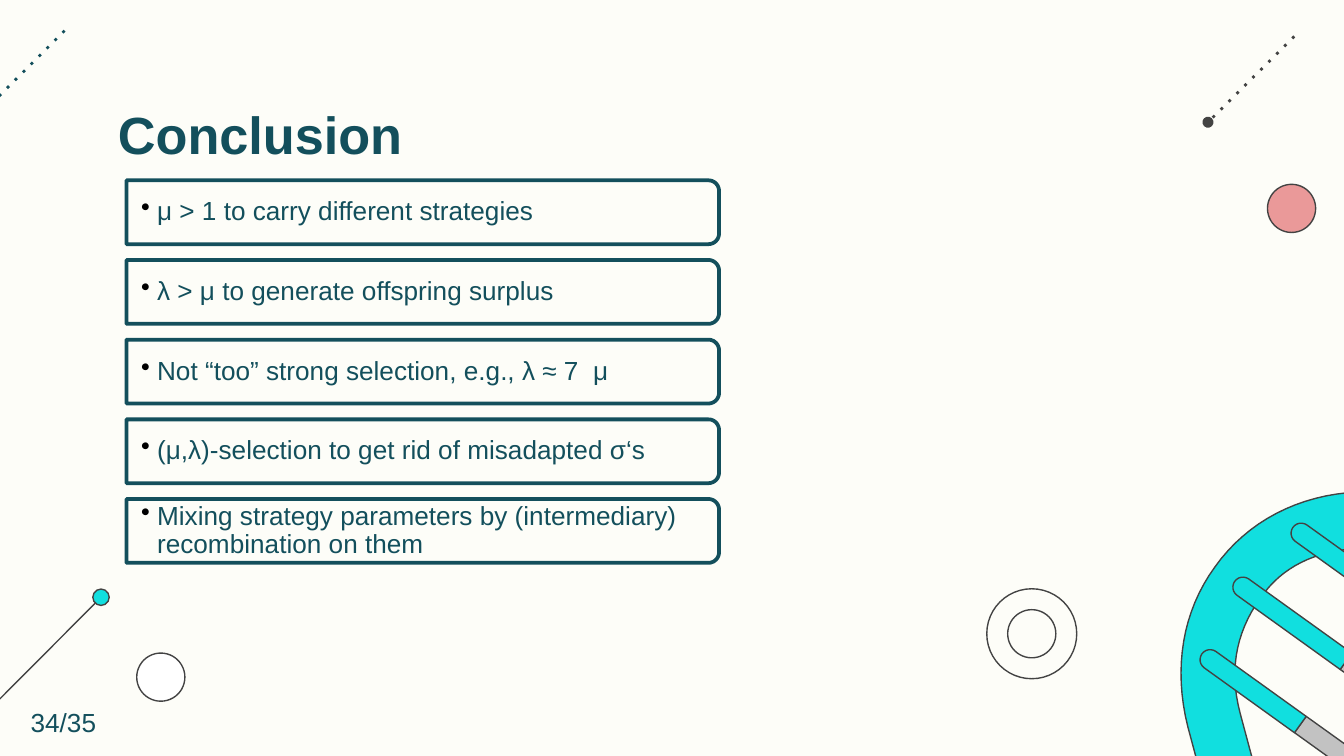
from dataclasses import dataclass
from math import cos, pi, sin, radians

from lxml.etree import SubElement
from pptx import Presentation
from pptx.dml.color import RGBColor
from pptx.enum.shapes import MSO_CONNECTOR as Link, MSO_SHAPE as Preset
from pptx.enum.text import MSO_ANCHOR as Anchor, MSO_AUTO_SIZE as AutoSize, PP_ALIGN as Align
from pptx.oxml.ns import qn
from pptx.util import Cm, Pt


@dataclass(frozen=True)
class Theme:
    paper: str = "FDFDF8"
    ink: str = "134F5C"
    outline: str = "434343"
    cyan: str = "11DFDF"
    pink: str = "EA9999"
    grey: str = "C2C2C2"
    white: str = "FFFFFF"
    black: str = "000000"
    font: str = "Arial"
    title_size: int = 28
    body_size: int = 14
    thin: float = 0.75
    dotted: float = 1.5
    thick: float = 2


THEME = Theme()
POINTS = [
    "μ > 1 to carry different strategies",
    "λ > μ to generate offspring surplus",
    "Not “too” strong selection, e.g., λ ≈ 7  μ",
    "(μ,λ)-selection to get rid of misadapted σ‘s",
    "Mixing strategy parameters by (intermediary) recombination on them",
]


def color(code):
    return RGBColor.from_string(code)


def paint(shape, fill=None, line=THEME.outline, width=THEME.thin):
    shape.shadow.inherit = False
    if fill:
        shape.fill.solid()
        shape.fill.fore_color.rgb = color(fill)
    else:
        shape.fill.background()
    shape.line.color.rgb = color(line)
    shape.line.width = Pt(width)


def style(para, size, bold=False):
    para.alignment = Align.LEFT
    para.font.name = THEME.font
    para.font.size = Pt(size)
    para.font.bold = bold
    para.font.color.rgb = color(THEME.ink)


def set_insets(frame, left, top, right, bottom):
    frame.margin_left, frame.margin_top = Cm(left), Cm(top)
    frame.margin_right, frame.margin_bottom = Cm(right), Cm(bottom)


def add_outline(page, left, top, points, **look):
    """Closed outline from points in cm, relative to (left, top)."""
    corners = [(Cm(left + x), Cm(top + y)) for x, y in points]
    builder = page.shapes.build_freeform(*corners[0])
    builder.add_line_segments(corners[1:], close=True)
    shape = builder.convert_to_shape()
    paint(shape, **look)
    return shape


def arc(x, y, radius, start, end, steps=12):
    angles = [radians(start + (end - start) * i / steps) for i in range(steps + 1)]
    return [(x + radius * cos(a), y + radius * sin(a)) for a in angles]


def curve(p0, p1, p2, p3, steps=16):
    """Points of a cubic Bézier curve."""
    return [
        tuple((1 - t) ** 3 * a + 3 * t * (1 - t) ** 2 * b + 3 * t * t * (1 - t) * c + t ** 3 * d
              for a, b, c, d in zip(p0, p1, p2, p3))
        for t in (i / steps for i in range(steps + 1))
    ]


def add_circle(page, x, y, diameter, fill=None):
    radius = diameter / 2
    circle = page.shapes.add_shape(
        Preset.OVAL, Cm(x - radius), Cm(y - radius), Cm(diameter), Cm(diameter))
    paint(circle, fill)


def add_line(page, start, end, line=THEME.outline, width=THEME.thin, dash=None, tail=None):
    link = page.shapes.add_connector(Link.STRAIGHT, *map(Cm, start + end))
    link.line.color.rgb = color(line)
    link.line.width = Pt(width)
    stroke = link.line._get_or_add_ln()
    if dash:
        SubElement(stroke, qn("a:prstDash"), val=dash)
    if tail:
        SubElement(stroke, qn("a:tailEnd"), type=tail)
    SubElement(link._element.spPr, qn("a:effectLst"))


def add_rung(page, x, y, cyan, grey, angle=35.7, radius=0.19):
    """Slanted bar with a round cap at (x, y), cyan first and then grey."""
    turn = radians(angle)

    def slant(points):
        return [(u * cos(turn) - v * sin(turn), u * sin(turn) + v * cos(turn)) for u, v in points]

    if grey:
        far = cyan + grey
        bar = [(cyan, -radius), (far, -radius), (far, radius), (cyan, radius)]
        add_outline(page, x, y, slant(bar), fill=THEME.grey)
    bar = arc(0, 0, radius, 90, 270) + [(cyan, -radius), (cyan, radius)]
    add_outline(page, x, y, slant(bar), fill=THEME.cyan)


def add_helix(page, left, top, width, height):
    # Half of the strand; the other half is the same, turned by 180 degrees
    half = [(7.04, 0)]
    half += curve((5.92, 0.08), (4.78, 0.13), (3.81, 0.64), (3.2, 1.5))
    half += curve((3.2, 1.5), (2.59, 2.34), (2.41, 3.4), (2.69, 4.52))[1:]
    half += curve((3.61, 7.95), (3.85, 8.85), (3.65, 9.6), (3.15, 10.24))
    half += curve((3.15, 10.24), (2.72, 10.8), (2.05, 11.05), (1.35, 11.07))[1:]
    half += [(0, 11.15)]
    turned = [(width - x, height - y) for x, y in half]
    add_outline(page, left, top, half + turned, fill=THEME.cyan)

    for x, y, cyan, grey in [(3.73, 1.88, 2.4, 2), (4.83, 0.86, 3.6, 0), (3.11, 3.25, 2.1, 1.47)]:
        add_rung(page, left + x, top + y, cyan, grey)


def add_decoration(page):
    # Dotted lines in the top corners
    add_line(page, (24.46, 0.69), (22.83, 2.31), width=THEME.dotted, dash="dot", tail="oval")
    add_line(page, (1.22, 0.58), (-0.41, 2.21), THEME.ink, THEME.dotted, "dot")
    # Pin at the lower left
    add_line(page, (1.8, 11.4), (-0.53, 13.74))
    add_circle(page, 1.91, 11.29, 0.31, THEME.cyan)
    # Loose discs and the double ring
    add_circle(page, 3.04, 12.8, 0.91, THEME.white)
    add_circle(page, 24.41, 3.94, 0.91, THEME.pink)
    for diameter in (1.7, 0.91):
        add_circle(page, 19.5, 11.98, diameter)
    add_helix(page, 19.76, 9.22, 7.29, 12.22)


def add_title(page, text, left, top, width, height):
    title = page.shapes.title
    title.left, title.top, title.width, title.height = map(Cm, (left, top, width, height))
    frame = title.text_frame
    frame.text = text
    frame.auto_size = AutoSize.NONE
    frame.vertical_anchor = Anchor.TOP
    set_insets(frame, 0.25, 0.25, 0.25, 0.25)
    para = frame.paragraphs[0]
    para.line_spacing = 1.15
    style(para, THEME.title_size, bold=True)


def add_panel(page, text, left, top, width, height, corner=0.2):
    """Panel with rounded right corners and one bulleted line."""
    inner = width - corner
    edge = [(0, 0)] + arc(inner, corner, corner, -90, 0)
    edge += arc(inner, height - corner, corner, 0, 90) + [(0, height)]
    panel = add_outline(page, left, top, edge,
                        fill=THEME.paper, line=THEME.ink, width=THEME.thick)
    frame = panel.text_frame
    frame.word_wrap = True
    frame.vertical_anchor = Anchor.MIDDLE
    set_insets(frame, 0.28, 0.08, 0.08, 0.08)
    para = frame.paragraphs[0]
    para.text = text
    para.line_spacing = 0.9
    props = para._p.get_or_add_pPr()
    props.set("marL", str(Cm(0.3)))
    props.set("indent", str(-Cm(0.3)))
    SubElement(SubElement(props, qn("a:buClr")), qn("a:srgbClr"), val=THEME.black)
    SubElement(props, qn("a:buChar"), char="•")
    style(para, THEME.body_size)


def add_panels(page, texts, left, top, width, height, gap=0.3):
    each = (height - gap * (len(texts) - 1)) / len(texts)
    for row, text in enumerate(texts):
        add_panel(page, text, left, top + row * (each + gap), width, each)


def add_page_number(page, text, left, top, width, height):
    box = page.shapes.add_textbox(*map(Cm, (left, top, width, height)))
    box.text_frame.word_wrap = False
    box.text_frame.auto_size = AutoSize.SHAPE_TO_FIT_TEXT
    para = box.text_frame.paragraphs[0]
    para.text = text
    style(para, THEME.body_size)


def main():
    deck = Presentation()
    deck.slide_width, deck.slide_height = Cm(25.4), Cm(14.29)
    page = deck.slides.add_slide(deck.slide_layouts.get_by_name("Title Only"))
    page.background.fill.solid()
    page.background.fill.fore_color.rgb = color(THEME.paper)

    add_decoration(page)
    add_title(page, "Conclusion", 1.98, 1.5, 21.44, 1.68)
    add_panels(page, POINTS, 2.39, 3.41, 11.2, 7.23)
    add_page_number(page, "34/35", 0.33, 13.23, 1.75, 0.86)
    deck.save("out.pptx")


if __name__ == "__main__":
    main()
